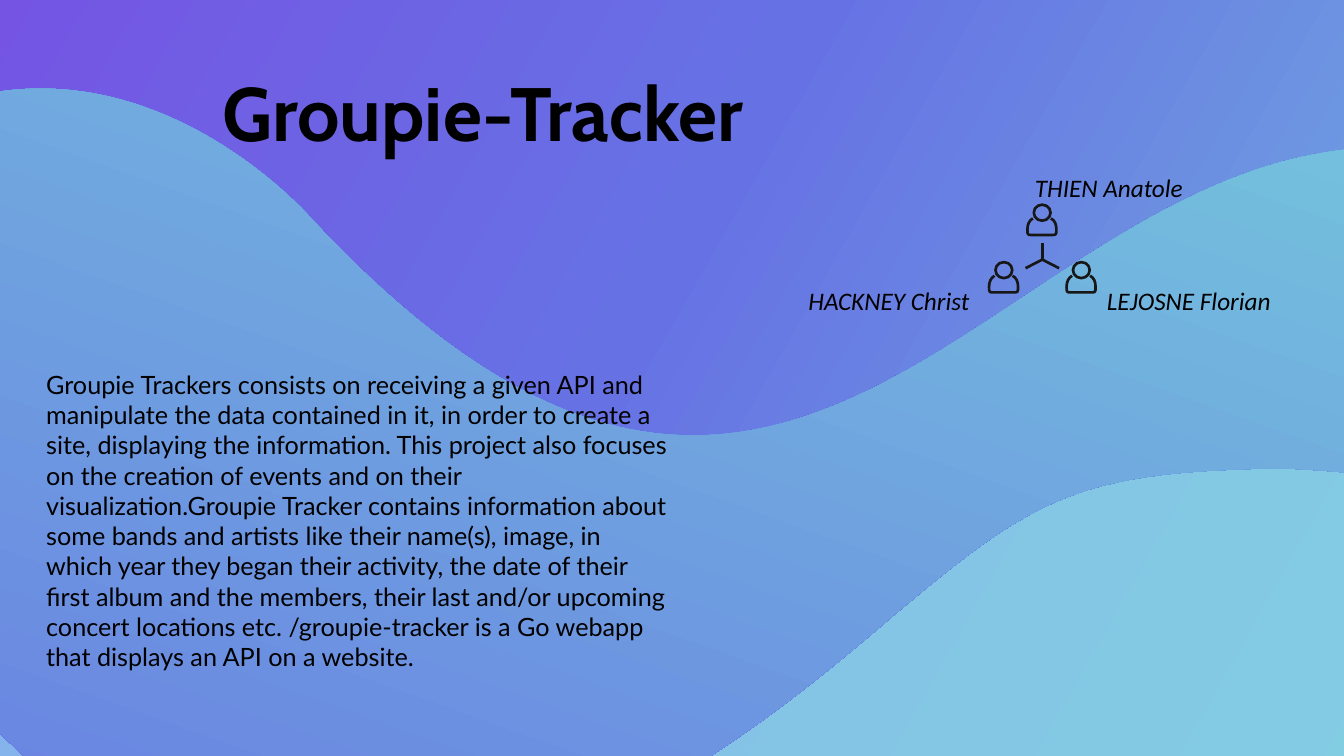
import copy
import math
from lxml import etree
from pptx import Presentation, util as u
from pptx.dml.color import RGBColor
from pptx.enum import shapes, text
from pptx.oxml.ns import qn

HUES = {"ink": "000000", "icon": "181717", "plum": "882BE5", "blue": "6672E4",
        "teal": "7CEFD8", "mint": "80DEDE", "sky": "85C1E7", "lilac": "878CFF"}
BODY = ("Groupie Trackers consists on receiving a given API and manipulate the data "
        "contained in it, in order to create a site, displaying the information. This "
        "project also focuses on the creation of events and on their visualization."
        "Groupie Tracker contains information about some bands and artists like their "
        "name(s), image, in which year they began their activity, the date of their first "
        "album and the members, their last and/or upcoming concert locations etc. "
        "/groupie-tracker is a Go webapp that displays an API on a website.")
COLS, ROWS, TILT = 13.33, 7.5, 119.6
BASE = [(3.61, 2.38), (8.66, 7.81), (10.59, 1.2), (14.72, 1.71),
        (18.85, 2.21), (19.31, 4.67), (18.88, 5.62), (18.45, 6.57), (17.81, 7.03),
        (16.31, 6.56), (14.8, 6.09), (13.43, 9.05), (12.47, 11.07),
        (11.52, 13.09), (8.39, 15.12), (6.49, 12.13), (4.59, 9.14), (4.69, 9.3),
        (1.48, 8.88), (-1.73, 8.47), (-2.37, 6.54), (-2.37, 6.54),
        (-2.37, 6.54), (-3.24, 3.22), (-0.82, 1.64), (1.61, 0.06), (3.61, 2.38), (3.61, 2.38)]
DUSK = [(-1.81, 0.32), (-1.81, 0.32), (-3.9, 2.57), (-0.43, 6.64),
        (3.03, 10.71), (7.22, 7.26), (8.69, 6), (10.17, 4.75), (10.58, 4.49),
        (12.45, 4.44), (14.33, 4.39), (16.45, 5.52), (16.74, 2.57),
        (17.01, -0.37), (12.77, 0.12), (11.82, -0.32), (10.86, -0.76), (10.19, -3.27),
        (8.97, -3.47), (7.76, -3.67), (6.63, -4.2), (3.66, -1.4),
        (3.66, -1.4), (2.49, 0.35), (0.09, -0.34), (0.09, -0.34), (-1.32, -0.64), (-1.81, 0.32)]
SWELL = [(-0.39, 6.85), (-1.96, 5.01), (-2.39, 3.53), (-2.39, 2.48),
         (-2.14, 2.09), (-1.8, 1.73), (-1.34, 1.43), (1.09, -0.15), (3.09, 2.17),
         (3.09, 2.17), (8.14, 7.59), (10.06, 0.99), (14.2, 1.49),
         (15.3, 1.63), (16.15, 1.91), (16.78, 2.25), (16.8, 2.42), (16.79, 2.6),
         (16.78, 2.79), (16.5, 5.73), (14.37, 4.6), (12.5, 4.65),
         (10.63, 4.7), (10.21, 4.96), (8.74, 6.21), (7.26, 7.47), (3.08, 10.93), (-0.39, 6.85)]
TORSO = [(78, 45), (90, 51), (95, 63), (95, 79), (95, 95), (94, 95), (80, 95),
         (80, 95), (20, 95), (20, 95), (6, 95), (5, 95), (5, 79),
         (5, 63), (11, 51), (22, 45)]


def hue(name):
    """Return a named colour."""
    return RGBColor.from_string(HUES[name])


def spot(box, x, y):
    """Turn percent shares of a box into a slide point."""
    left, top, wide, high = box
    return round(left + wide * x / 100), round(top + high * y / 100)


def part(box, x, y, wide, high):
    """Return the sub-box given by percent shares of a box."""
    return (*spot(box, x, y), round(box[2] * wide / 100), round(box[3] * high / 100))


def turn(x, y, angle):
    """Turn a point clockwise about the slide's corner."""
    cos, sin = math.cos(math.radians(angle)), math.sin(math.radians(angle))
    return round(cos * x - sin * y), round(sin * x + cos * y)


def bend(slide, dots, close):
    """Draw a start point and triples of points as cubic curves."""
    form = slide.shapes.build_freeform(*dots[0], scale=1.0)
    form.add_line_segments(dots[1:], close=close)
    shape = form.convert_to_shape()
    shape.shadow.inherit = False
    lines = list(shape._element.iter(qn("a:lnTo")))
    for i in range(0, len(dots) - 1, 3):
        cubic = etree.Element(qn("a:cubicBezTo"))
        lines[i].addprevious(cubic)
        for line in lines[i:i + 3]:
            cubic.append(line[0])
            line.getparent().remove(line)
    return shape


def shade(shape, stops, angle):
    """Fill a shape with a three-stop gradient and no line."""
    shape.line.fill.background()
    shape.fill.gradient()
    shape.fill.gradient_angle = angle
    first = next(shape._element.iter(qn("a:gs")))
    first.addnext(copy.deepcopy(first))
    for stop, (name, place) in zip(shape.fill.gradient_stops, stops):
        stop.color.rgb = hue(name)
        stop.position = place


def stroke(shape):
    """Give a shape the icon line."""
    shape.line.color.rgb = hue("icon")
    shape.line.width = u.Pt(1.9)


def write(slide, box, words, size=18, font="Calibri", bold=False, italic=False, inset=True):
    """Add a text box with one formatted run."""
    frame = slide.shapes.add_textbox(*box).text_frame
    frame.word_wrap = True
    frame.vertical_anchor = text.MSO_ANCHOR.TOP
    if not inset:
        frame.margin_left = frame.margin_right = frame.margin_top = frame.margin_bottom = 0
    run = frame.paragraphs[0].add_run()
    run.text = words
    run.font.size, run.font.name = u.Pt(size), font
    run.font.bold, run.font.italic = bold, italic
    run.font.color.rgb = hue("ink")


def wave(slide, box, dots, stops, angle):
    """Draw a tilted wave from its grid points."""
    level = [turn(*spot(box, 100 * x / COLS, 100 * y / ROWS), -TILT) for x, y in dots]
    shape = bend(slide, level, True)
    mid = turn(shape.left + shape.width / 2, shape.top + shape.height / 2, TILT)
    shape.left = round(mid[0] - shape.width / 2)
    shape.top = round(mid[1] - shape.height / 2)
    shape.rotation = TILT
    shade(shape, stops, angle)


def waves(slide, box):
    """Layer the three waves."""
    wave(slide, box, BASE, (("mint", 0), ("sky", 0.54), ("lilac", 1)), 270)
    wave(slide, box, DUSK, (("teal", 0), ("blue", 0.51), ("plum", 1)), 270)
    wave(slide, box, SWELL, (("plum", 0), ("blue", 0.19), ("teal", 1)), 190)


def person(slide, box):
    """Draw a head and torso in line."""
    head = slide.shapes.add_shape(shapes.MSO_SHAPE.OVAL, *part(box, 25, 4, 52, 48))
    head.shadow.inherit = False
    torso = bend(slide, [spot(box, *dot) for dot in TORSO], False)
    for shape in (head, torso):
        shape.fill.background()
        stroke(shape)


def team(slide, box):
    """Draw three people joined at a hub."""
    for x, y in ((35.2, 0), (0, 63.3), (71.2, 63.3)):
        person(slide, part(box, x, y, 29.6, 36.7))
    hub = spot(box, 50.4, 62)
    for tip in ((50.4, 44), (35, 71.5), (65.8, 71.5)):
        link = slide.shapes.add_connector(
            shapes.MSO_CONNECTOR.STRAIGHT, *hub, *spot(box, *tip))
        stroke(link)
        etree.SubElement(link._element.spPr, qn("a:effectLst"))


def names(slide, box):
    """Label each member of the team."""
    for words, x, y in (("THIEN Anatole", 76.26, 22.13),
                        ("LEJOSNE Florian", 81.62, 37.07),
                        ("HACKNEY Christ", 59.41, 37.07)):
        write(slide, part(box, x, y, 15, 5.33), words, italic=True)


def cover(deck):
    """Build the project cover."""
    slide = deck.slides.add_slide(deck.slide_layouts[6])
    page = (0, 0, deck.slide_width, deck.slide_height)
    waves(slide, page)
    write(slide, part(page, 16.56, 8.75, 51.24, 12.13), "Groupie-Tracker",
          size=54, font="Cabin", bold=True, inset=False)
    team(slide, part(page, 73.47, 26.9, 8.1, 12))
    names(slide, page)
    write(slide, part(page, 2.7, 48.2, 47.71, 37.73), BODY, font="Lato")


deck = Presentation()
deck.slide_width, deck.slide_height = u.Inches(COLS), u.Inches(ROWS)
cover(deck)
deck.save("out.pptx")
